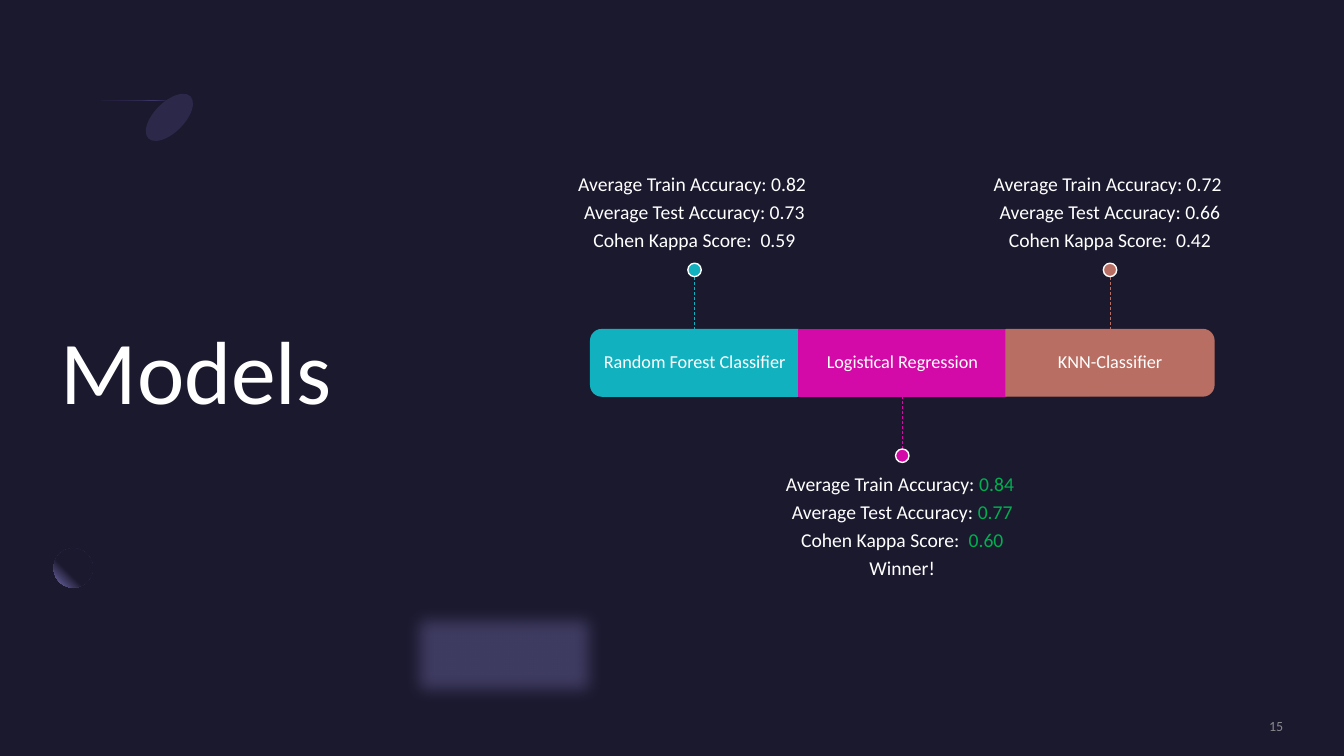
import pptx
import pptx.util
import pptx.dml.color
import pptx.enum.dml
import pptx.enum.shapes
import pptx.enum.text
import pptx.oxml
import pptx.oxml.ns
import lxml.etree

Pt = pptx.util.Pt
SHAPE = pptx.enum.shapes.MSO_SHAPE
ALIGN = pptx.enum.text.PP_ALIGN
ANCHOR = pptx.enum.text.MSO_ANCHOR
NAMESPACE = pptx.oxml.ns.nsdecls("a")


def color(value):
    return pptx.dml.color.RGBColor.from_string(value)


def write_text(frame, lines, size, align=ALIGN.CENTER, anchor=ANCHOR.MIDDLE, top=0, bottom=0,
               ink="FFFFFF", value_ink="FFFFFF", spacing=0.9, gap=0.35):
    frame.word_wrap = True
    frame.auto_size = pptx.enum.text.MSO_AUTO_SIZE.NONE
    frame.vertical_anchor = anchor
    frame.margin_left = frame.margin_right = 0
    frame.margin_top, frame.margin_bottom = Pt(top), Pt(bottom)
    for index, line in enumerate(lines):
        paragraph = frame.add_paragraph() if index else frame.paragraphs[0]
        paragraph.alignment = align
        paragraph.line_spacing = spacing
        paragraph.space_after = Pt(gap * size)
        for text, run_ink in zip(line, (ink, value_ink)):
            run = paragraph.add_run()
            run.text = text
            run.font.name = "Calibri"
            run.font.size = Pt(size)
            run.font.color.rgb = color(run_ink)


presentation = pptx.Presentation()
presentation.slide_width = Pt(960)
presentation.slide_height = Pt(540)
slide = presentation.slides.add_slide(presentation.slide_layouts[5])
shapes = slide.shapes
slide.background.fill.solid()
slide.background.fill.fore_color.rgb = color("1B192E")

title = shapes.title
title.left, title.top, title.width, title.height = Pt(43.2), Pt(119.5), Pt(357), Pt(297.4)
write_text(title.text_frame, [("Models",)], 64, align=ALIGN.LEFT, gap=0)

cone_outline = [
    (1.29, 0.78), (1.85, 0.94), (1.86, 0.94),
    (1.87, 0.95, 1.88, 0.95, 1.88, 0.96), (1.94, 1.02, 1.89, 1.16, 1.78, 1.27),
    (1.66, 1.39, 1.52, 1.43, 1.47, 1.38), (1.46, 1.37, 1.45, 1.36, 1.45, 1.35),
]
ring_outline = [
    (4.8, 6.21), (5.11, 6.19, 5.43, 6.32, 5.68, 6.57), (5.33, 6.93),
    (5.1, 6.7, 4.76, 6.68, 4.56, 6.88), (4.42, 7.03, 4.39, 7.26, 4.48, 7.46), (4.5, 7.5),
    (3.94, 7.5), (3.92, 7.43), (3.84, 7.08, 3.91, 6.72, 4.16, 6.48),
    (4.33, 6.3, 4.56, 6.21, 4.8, 6.21),
]
outline_shapes = []
for outline in (cone_outline, ring_outline):
    points = [outline[0]]
    for segment in outline[1:]:
        if len(segment) == 2:
            points.append(segment)
            continue
        controls = [points[-1], segment[:2], segment[2:4], segment[4:]]
        for step in range(1, 13):
            t = step / 12
            weights = ((1 - t) ** 3, 3 * t * (1 - t) ** 2, 3 * t * t * (1 - t), t ** 3)
            points.append(tuple(sum(w * c[axis] for w, c in zip(weights, controls)) for axis in (0, 1)))
    builder = shapes.build_freeform(*points[0], scale=Pt(72))
    builder.add_line_segments(points[1:], close=True)
    outline_shapes.append(builder.convert_to_shape())
cone, ring = outline_shapes

cone_base = shapes.add_shape(SHAPE.OVAL, Pt(110.2), Pt(62.6), Pt(21.6), Pt(42.5))
cone_base.rotation = 45
cone_base.fill.solid()
cone_base.fill.fore_color.rgb = color("2C284A")
sphere = shapes.add_shape(SHAPE.OVAL, Pt(38.2), Pt(391.7), Pt(28.1), Pt(28.1))
ring.fill.solid()
ring.fill.fore_color.rgb = color("7771B2")
for decoration in (cone, cone_base, sphere, ring):
    decoration.shadow.inherit = False
    decoration.line.fill.background()

gradients = [
    (cone, [(30, "2C284A"), (45, "454075"), (60, "2C284A"), (100, "1B192E")],
     '<a:lin ang="7500000" scaled="0"/>'),
    (sphere, [(60, "1B192E"), (100, "7771B2")],
     '<a:path path="circle"><a:fillToRect l="100000" b="100000"/></a:path>'),
]
for shape, stops, direction in gradients:
    stop_list = "".join(f'<a:gs pos="{position * 1000}"><a:srgbClr val="{value}"/></a:gs>'
                        for position, value in stops)
    gradient = pptx.oxml.parse_xml(
        f'<a:gradFill {NAMESPACE} rotWithShape="1"><a:gsLst>{stop_list}</a:gsLst>{direction}</a:gradFill>')
    shape.line._ln.addprevious(gradient)

ring_color = ring.fill._xPr.find(".//" + pptx.oxml.ns.qn("a:srgbClr"))
lxml.etree.SubElement(ring_color, pptx.oxml.ns.qn("a:alpha"), val="40000")
ring_effects = ring.fill._xPr.find(pptx.oxml.ns.qn("a:effectLst"))
lxml.etree.SubElement(ring_effects, pptx.oxml.ns.qn("a:softEdge"), rad="152400")

page_number = shapes.add_textbox(Pt(783.4), Pt(512.6), Pt(133.2), Pt(12.2))
write_text(page_number.text_frame, [("15",)], 10, align=ALIGN.RIGHT, ink="8A898E", spacing=1, gap=0.6)

bar_left, bar_top, bar_width, bar_height = 421.9, 235.4, 148.4, 47.5
note_width, note_height = 247.7, 166.3
dot_size, stem_length = 9.6, 37.8
models = [
    ("Random Forest Classifier", "12B1BF", 270, "FFFFFF", ("0.82 ", "0.73", "0.59"), []),
    ("Logistical Regression", "D40AA8", 0, "00B050", ("0.84 ", "0.77", "0.60"), [("Winner!",)]),
    ("KNN-Classifier", "B86E62", 90, "FFFFFF", ("0.72 ", "0.66", "0.42"), []),
]
measures = ("Average Train Accuracy: ", "Average Test Accuracy: ", "Cohen Kappa Score:  ")
for index, (name, accent, rotation, value_ink, values, verdict) in enumerate(models):
    left = bar_left + index * bar_width
    center = left + bar_width / 2
    middle = bar_top + bar_height / 2
    below = index == 1
    if rotation:
        bar = shapes.add_shape(SHAPE.ROUND_2_SAME_RECTANGLE, Pt(center - bar_height / 2),
                               Pt(middle - bar_width / 2), Pt(bar_height), Pt(bar_width))
        bar.rotation = rotation
    else:
        bar = shapes.add_shape(SHAPE.RECTANGLE, Pt(left), Pt(bar_top), Pt(bar_width), Pt(bar_height))

    label = shapes.add_textbox(Pt(left), Pt(bar_top), Pt(bar_width), Pt(bar_height))
    write_text(label.text_frame, [(name,)], 13)

    note_top = 330.5 if below else 22.3
    note = shapes.add_textbox(Pt(center - note_width / 2), Pt(note_top), Pt(note_width), Pt(note_height))
    write_text(note.text_frame, list(zip(measures, values)) + verdict, 14, value_ink=value_ink,
               anchor=ANCHOR.TOP if below else ANCHOR.BOTTOM,
               top=8.6 if below else 0, bottom=0 if below else 8.6)

    stem_start = bar_top + bar_height if below else bar_top
    stem_end = stem_start + (stem_length if below else -stem_length)
    stem = shapes.add_connector(pptx.enum.shapes.MSO_CONNECTOR.STRAIGHT,
                                Pt(center), Pt(stem_start), Pt(center), Pt(stem_end))
    stem.line.color.rgb = color(accent)
    stem.line.width = Pt(0.5)
    stem.line.dash_style = pptx.enum.dml.MSO_LINE.DASH
    lxml.etree.SubElement(stem._element.spPr, pptx.oxml.ns.qn("a:effectLst"))

    dot_top = stem_end if below else stem_end - dot_size
    dot = shapes.add_shape(SHAPE.OVAL, Pt(center - dot_size / 2), Pt(dot_top), Pt(dot_size), Pt(dot_size))
    for shape, outline_color in ((bar, accent), (dot, "FFFFFF")):
        shape.shadow.inherit = False
        shape.fill.solid()
        shape.fill.fore_color.rgb = color(accent)
        shape.line.color.rgb = color(outline_color)
        shape.line.width = Pt(1)

presentation.save("out.pptx")
